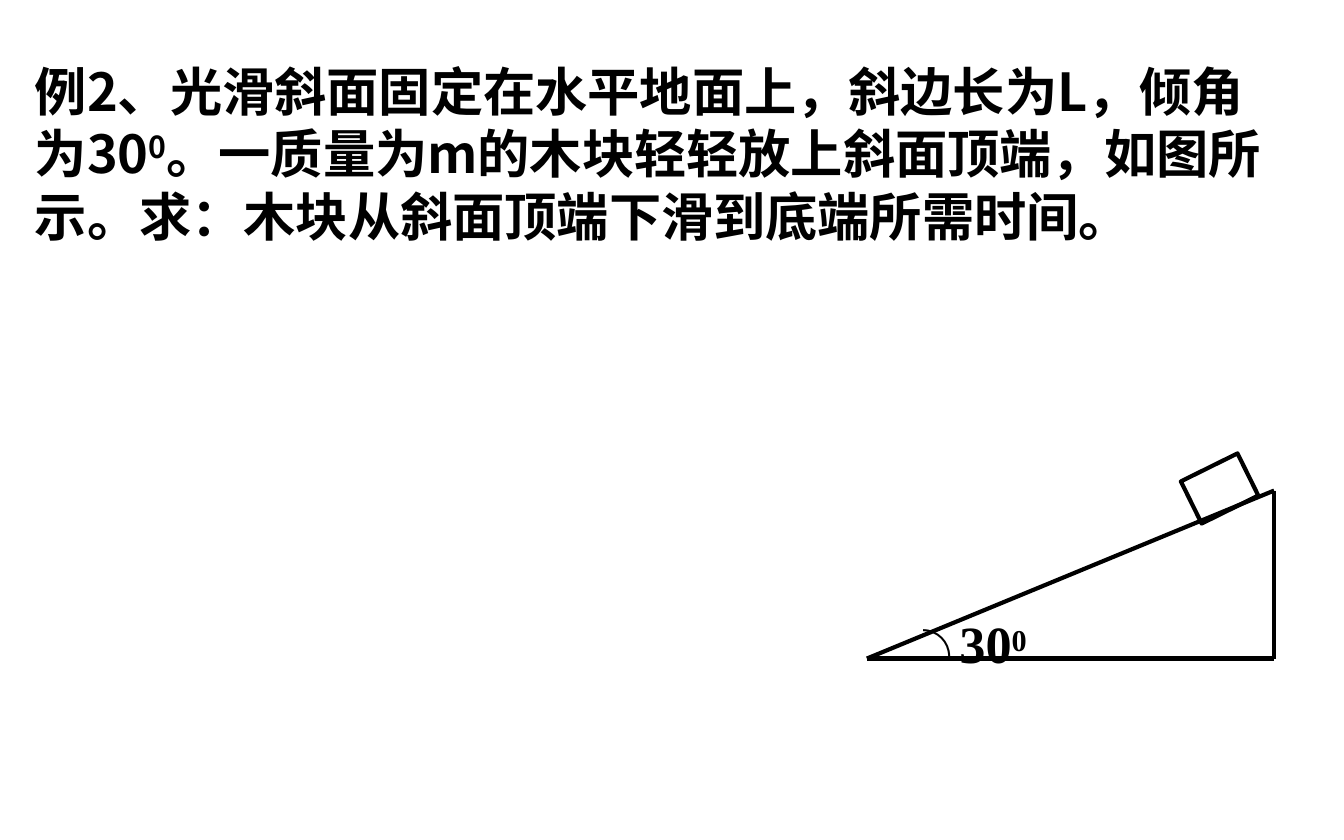
from lxml.etree import SubElement
from pptx import Presentation
from pptx.dml.color import RGBColor
from pptx.enum.shapes import MSO_CONNECTOR as Conn, MSO_SHAPE as Shape
from pptx.enum.text import MSO_ANCHOR as Anchor, PP_ALIGN as Align
from pptx.oxml.ns import qn
from pptx.util import Inches, Pt

BLACK = RGBColor(0, 0, 0)
SANS, SERIF = "Noto Sans CJK SC", "Times New Roman"
SIZE, WIDTH = Pt(28), Pt(2.25)

# Content: runs as (text, baseline shift in percent)
PROBLEM = [
    ("例2、光滑斜面固定在水平地面上，斜边长为L，倾角为30", 0),
    ("0", 30),
    ("。一质量为m的木块轻轻放上斜面顶端，如图所示。"
     "求：木块从斜面顶端下滑到底端所需时间。", 0),
]
ANGLE = [("30", 0), ("0", 24)]
ARC = [("╮", 0)]

# Corners of the incline, in inches
FOOT, BASE, TOP = (6.45, 4.9), (9.48, 4.9), (9.48, 3.65)


def place(shape, box):
    shape.left, shape.top, shape.width, shape.height = map(Inches, box)


def write(shape, runs, face, bold=True, pitch=None):
    frame = shape.text_frame
    frame.word_wrap = True
    frame.vertical_anchor = Anchor.TOP
    para = frame.paragraphs[0]
    para.alignment = Align.LEFT
    if pitch:
        para.line_spacing = pitch
    font = para.font
    font.name, font.size, font.bold = face, SIZE, bold
    font.color.rgb = BLACK
    for text, shift in runs:
        run = para.add_run()
        run.text = text
        props = run._r.get_or_add_rPr()
        if shift:
            props.set("baseline", str(shift * 1000))
        # Latin and East Asian letters share one face
        run.font.name = face
        SubElement(props, qn("a:ea")).set("typeface", face)
        run.font.size, run.font.bold = SIZE, bold
        run.font.color.rgb = BLACK


def label(slide, box, runs, face, bold):
    write(slide.shapes.add_textbox(*map(Inches, box)), runs, face, bold)


def edge(slide, start, end):
    line = slide.shapes.add_connector(
        Conn.STRAIGHT, *map(Inches, start + end))
    line.line.color.rgb = BLACK
    line.line.width = WIDTH
    SubElement(line._element.spPr, qn("a:effectLst"))


def main():
    deck = Presentation()
    deck.slide_width, deck.slide_height = Inches(10), Inches(6.25)
    slide = deck.slides.add_slide(deck.slide_layouts[5])

    # Problem statement
    title = slide.shapes.title
    place(title, (0.16, 0.39, 9.37, 1.5))
    write(title, PROBLEM, SANS, pitch=Pt(33.5))

    # Incline
    for start, end in ((FOOT, BASE), (FOOT, TOP), (TOP, BASE)):
        edge(slide, start, end)

    # Wooden block
    block = slide.shapes.add_shape(
        Shape.RECTANGLE, *map(Inches, (8.84, 3.46, 0.47, 0.35)))
    block.rotation = 333.7
    block.shadow.inherit = False
    block.fill.background()
    block.line.color.rgb = BLACK
    block.line.width = WIDTH

    # Angle mark and its value
    label(slide, (6.77, 4.4, 0.66, 0.57), ARC, SANS, False)
    label(slide, (7.04, 4.5, 0.85, 0.57), ANGLE, SERIF, True)

    deck.save("out.pptx")


if __name__ == "__main__":
    main()
